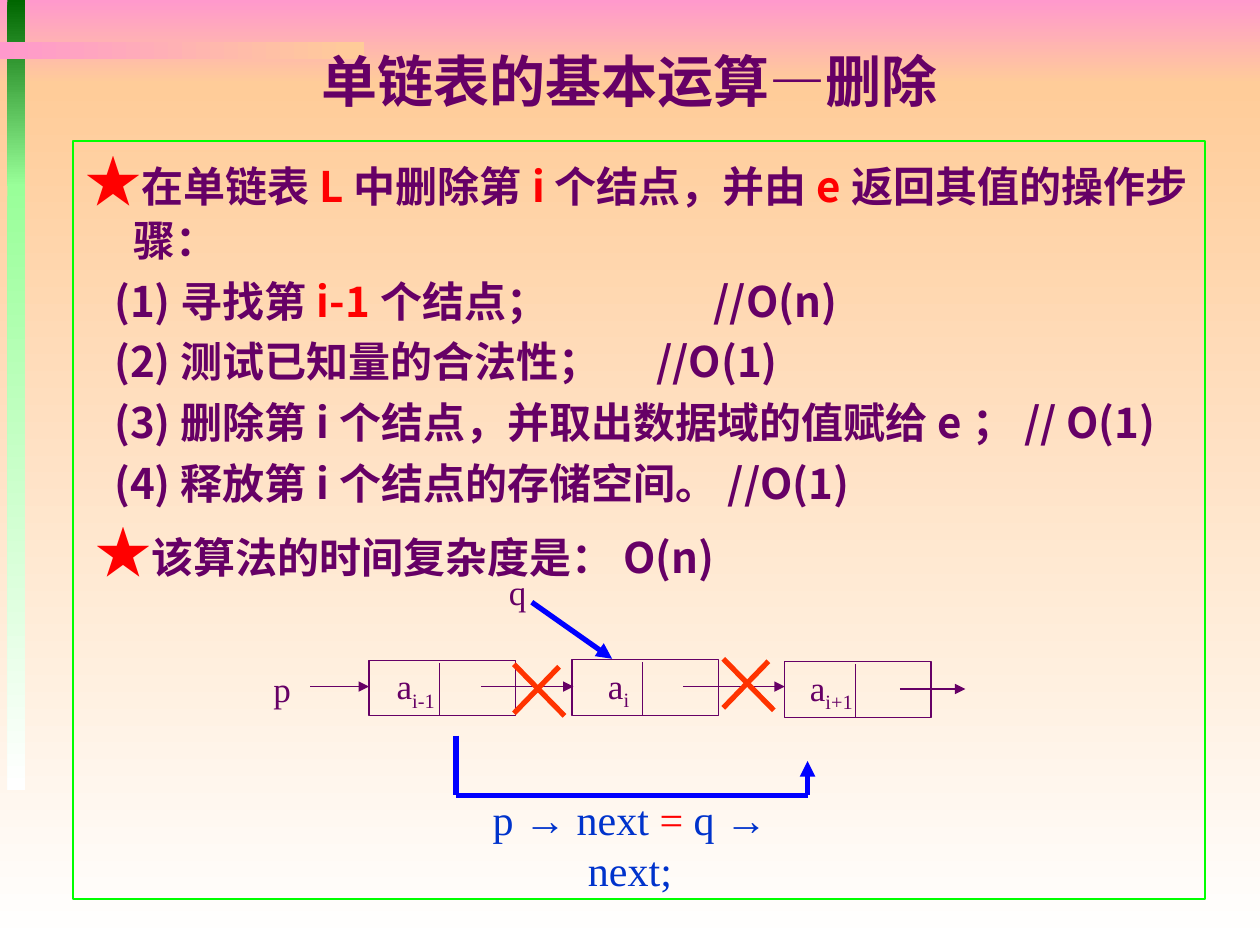
from pptx import Presentation
from pptx.dml.color import RGBColor
from pptx.enum.shapes import MSO_CONNECTOR, MSO_SHAPE
from pptx.enum.text import MSO_ANCHOR, MSO_AUTO_SIZE, PP_ALIGN
from pptx.util import Cm, Pt
from lxml import etree

RECT = MSO_SHAPE.RECTANGLE
LINE = MSO_CONNECTOR.STRAIGHT
MID, TOP = MSO_ANCHOR.MIDDLE, MSO_ANCHOR.TOP
MID_X, LEFT = PP_ALIGN.CENTER, PP_ALIGN.LEFT
NO_FIT = MSO_AUTO_SIZE.NONE
NS = "{http://schemas.openxmlformats.org/drawingml/2006/main}"

HUES = {
    "plum": "660066", "red": "FF0000", "lime": "00FF00", "blue": "0000FF",
    "navy": "0033CC", "flame": "FF3300", "pink": "FF99CC", "peach": "FFCC99",
    "white": "FFFFFF", "pine": "006600", "mint": "99FF99",
}
SERIF, SANS, PLAIN = "Times New Roman", "Noto Sans CJK SC", "Arial"

BANDS = [
    ((0, 0, 25.4, 1.7), "pink", "peach", 270),
    ((0, 1.7, 25.4, 17.35), "peach", "white", 270),
    ((0.15, 0, 0.36, 3.76), "pine", "mint", 270),
    ((0.15, 3.71, 0.36, 12.22), "mint", "white", 270),
    ((0, 0.84, 7.34, 0.36), "pink", "peach", 0),
]
HEAD = "单链表的基本运算—删除"
STAR = ("★", {"size": 32, "name": SERIF, "hue": "red"})
RED = {"hue": "red"}
STEPS = [
    ([STAR, "在单链表", ("L", RED), "中删除第", ("i", RED), "个结点，并由",
      ("e", RED), "返回其值的操作步骤："], 0.97, -0.97, 29, 0, None),
    (["(1)寻找第", ("i-1", RED), "个结点；\t//O(n)"], 0.58, 0, 30.7, 4, 12.08),
    (["(2)测试已知量的合法性；\t//O(1)"], 0.58, 0, 30.7, 4, 10.93),
    (["(3)删除第i个结点，并取出数据域的值赋给e；// O(1)"], 0.58, 0, 30.7, 4, None),
    (["(4)释放第i个结点的存储空间。//O(1)"], 0.58, 0, 30.7, 4, None),
    ([STAR, "该算法的时间复杂度是：O(n)"], 0.2, 0, 30.7, 13.5, None),
]
ARROW = ("→", {"name": PLAIN})
CODE = ["p ", ARROW, " next ", ("=", RED), " q ", ARROW, " next;"]
NODES = [(7.44, 13.31, "i-1"), (11.53, 13.3, "i"), (15.82, 13.34, "i+1")]
LINKS = [(6.25, 7.44, 13.84), (9.7, 11.56, 13.84),
         (13.77, 15.82, 13.84), (18.14, 19.46, 13.89)]
CROSS = [(10.36, 13.39), (14.58, 13.28)]
PATH = [(9.19, 14.83), (9.19, 16.03), (16.28, 16.03), (16.28, 15.34)]


def paint(color, hue):
    color.rgb = RGBColor.from_string(HUES[hue])


def style(font, size=None, name=None, hue=None, bold=None):
    if size:
        font.size = Pt(size)
    if name:
        font.name = name
    if bold is not None:
        font.bold = bold
    if hue:
        paint(font.color, hue)


def write(para, parts, **base):
    style(para.font, **base)
    for part in parts:
        text, diff = (part, {}) if isinstance(part, str) else part
        run = para.add_run()
        run.text = text
        style(run.font, **diff)


def place(shape, *area):
    shape.left, shape.top, shape.width, shape.height = map(Cm, area)


def box(area, hue=None):
    shape = shapes.add_shape(RECT, *map(Cm, area))
    shape.shadow.inherit = False
    if hue:
        shape.fill.background()
        shape.line.width = Pt(0.75)
        paint(shape.line.color, hue)
    else:
        shape.line.fill.background()
    return shape


def link(start, end, hue="plum", width=0.75, tip=False):
    line = shapes.add_connector(LINE, *map(Cm, (*start, *end)))
    paint(line.line.color, hue)
    line.line.width = Pt(width)
    if tip:
        etree.SubElement(line.line._get_or_add_ln(), NS + "tailEnd", type="triangle")
    etree.SubElement(line.element.spPr, NS + "effectLst")


def label(area, parts, wrap=True, anchor=MID, align=MID_X, size=20, hue="plum"):
    frame = shapes.add_textbox(*map(Cm, area)).text_frame
    frame.word_wrap = wrap
    frame.vertical_anchor = anchor
    para = frame.paragraphs[0]
    para.alignment = align
    write(para, parts, size=size, name=SERIF, hue=hue)
    return para


deck = Presentation()
deck.slide_width, deck.slide_height = Cm(25.4), Cm(19.05)
slide = deck.slides.add_slide(deck.slide_layouts[1])
shapes = slide.shapes
title, body = slide.placeholders

for area, first, last, angle in BANDS:
    fill = box(area).fill
    fill.gradient()
    fill.gradient_angle = angle
    for stop, hue in zip(fill.gradient_stops, (first, last)):
        paint(stop.color, hue)

for holder in (body, title):
    holder.element.getparent().append(holder.element)
    holder.text_frame.auto_size = NO_FIT

place(body, 1.47, 2.84, 22.83, 15.29)
body.line.width = Pt(1.25)
paint(body.line.color, "lime")
frame = body.text_frame
frame.margin_top = Cm(0.45)
for row, (parts, left, first, pitch, gap, tab) in enumerate(STEPS):
    para = frame.add_paragraph() if row else frame.paragraphs[0]
    para.line_spacing = Pt(pitch)
    para.space_before = Pt(gap)
    props = para._p.get_or_add_pPr()
    props.set("marL", str(Cm(left)))
    props.set("indent", str(Cm(first)))
    if tab:
        props.set("defTabSz", str(Cm(tab)))
    etree.SubElement(props, NS + "buNone")
    write(para, parts, size=24, name=SANS, hue="plum", bold=True)

place(title, 1.9, 0.58, 21.59, 2.08)
title.text_frame.vertical_anchor = MID
para = title.text_frame.paragraphs[0]
para.alignment = MID_X
write(para, [HEAD], size=32, name=SERIF, hue="plum", bold=True)

label((5.26, 13.31, 0.81, 1.12), ["p"])
for x, y, index in NODES:
    box((x, y, 2.95, 1.12), "plum")
    link((x + 1.42, y + 0.05), (x + 1.42, y + 1.13))
    para = label((x + 0.14, y - 0.04, 1.6, 1.22), ["a", index], wrap=False)
    para.runs[1].font._element.set("baseline", "-25000")
for start, end, y in LINKS:
    link((start, y), (end, y), tip=True)
for x, y in CROSS:
    link((x + 0.91, y + 0.05), (x, y + 0.99), "flame", 3)
    link((x, y), (x + 1.02, y + 1.04), "flame", 3)
for start, end in zip(PATH, PATH[1:]):
    link(start, end, "blue", 3, end == PATH[-1])

label((8.89, 16.38, 7.62, 1.27), CODE, size=24, hue="navy")
label((10.01, 11.38, 1.4, 1.12), ["q"], anchor=TOP, align=LEFT)
link((10.72, 12.14), (12.34, 13.28), "blue", 3, True)

deck.save("out.pptx")
